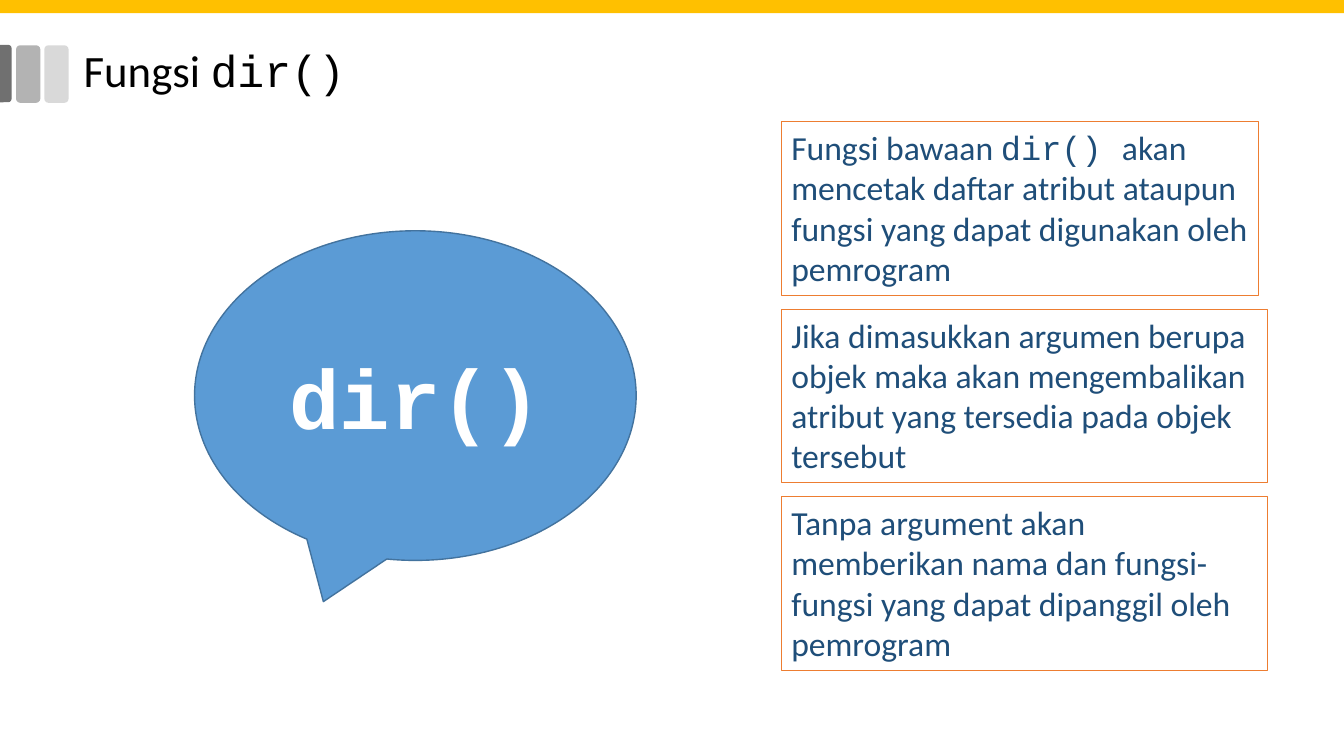
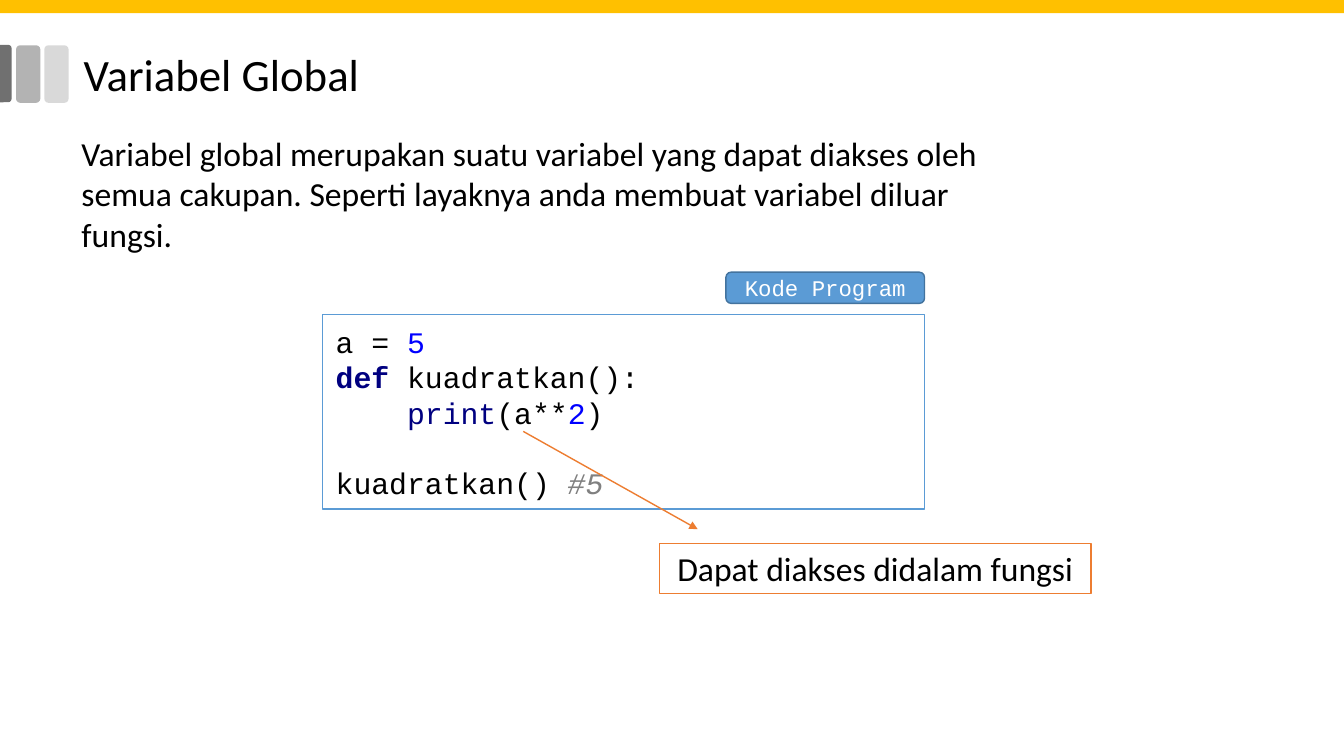
import pptx
import pptx.dml.color
import pptx.enum.shapes
import pptx.enum.text
import pptx.oxml
import pptx.oxml.ns
import pptx.util
from dataclasses import dataclass

Inches = pptx.util.Inches
SHAPE = pptx.enum.shapes.MSO_SHAPE
ANCHOR = pptx.enum.text.MSO_ANCHOR
ALIGN = pptx.enum.text.PP_ALIGN


@dataclass(frozen=True)
class Theme:
    body_font: str = "Calibri"
    code_font: str = "Courier New"
    title_size: float = 32
    body_size: float = 24
    code_size: float = 21.3
    label_size: float = 16
    callout_size: float = 60
    black: str = "000000"
    white: str = "FFFFFF"
    band: str = "FFC000"
    tabs: tuple = ("707070", "B3B3B3", "D9D9D9")
    blue: str = "5B9BD5"
    blue_edge: str = "43739E"
    navy: str = "1F4E79"
    orange: str = "ED7D31"
    keyword: str = "000080"
    number: str = "0000FF"
    remark: str = "808080"


theme = Theme()


def add_box(page, kind, place, fill=None, line=None, weight=1):
    box = page.shapes.add_shape(kind, *(Inches(length) for length in place))
    box.shadow.inherit = False
    for part, color in ((box.fill, fill), (box.line.fill, line)):
        if color:
            part.solid()
            part.fore_color.rgb = pptx.dml.color.RGBColor.from_string(color)
        else:
            part.background()
    if line:
        box.line.width = pptx.util.Pt(weight)
    return box


def write(box, lines, base, frame_format=None, para_format=None):
    """Write lines of (text, changes to the base font) spans."""
    frame = box.text_frame
    frame.word_wrap = True
    for name, value in {"vertical_anchor": ANCHOR.TOP, **(frame_format or {})}.items():
        setattr(frame, name, value)
    for index, spans in enumerate(lines):
        para = frame.add_paragraph() if index else frame.paragraphs[0]
        for name, value in {"alignment": ALIGN.LEFT, **(para_format or {})}.items():
            setattr(para, name, value)
        for text, changes in spans:
            span = para.add_run()
            span.text = text
            look = {**base, **changes}
            color = look.pop("color")
            span.font.color.rgb = pptx.dml.color.RGBColor.from_string(color)
            span.font.size = pptx.util.Pt(look.pop("size"))
            for name, value in look.items():
                setattr(span.font, name, value)


deck = pptx.Presentation()
deck.slide_width, deck.slide_height = Inches(13.33), Inches(7.5)

code = {"name": theme.code_font}
body = {"name": theme.body_font, "size": theme.body_size, "color": theme.black}
title_style = {**body, "size": theme.title_size}
title_inset = {f"margin_{side}": Inches(0.13)
               for side in ("left", "right", "top", "bottom")}

# Shared frame: top band, grey tabs and title
titles = [
    (0.35, [("Fungsi ", {}), ("dir()", code)]),
    (0.39, [("Variabel Global", {})]),
]
pages = []
for title_top, title in titles:
    page = deck.slides.add_slide(deck.slide_layouts[6])
    pages.append(page)
    edge_tab = add_box(page, SHAPE.ROUND_2_SAME_RECTANGLE,
                       (-0.23, 0.67, 0.57, 0.12), theme.tabs[0])
    edge_tab.rotation = 90
    edge_tab.adjustments[0] = 0.29
    for index, color in enumerate(theme.tabs[1:]):
        add_box(page, SHAPE.ROUNDED_RECTANGLE,
                (0.16 + 0.28 * index, 0.45, 0.24, 0.57), color)
    add_box(page, SHAPE.RECTANGLE, (0, 0, 13.33, 0.13), theme.band)
    title_box = page.shapes.add_textbox(
        Inches(0.7), Inches(title_top), Inches(11.5), Inches(0.72))
    write(title_box, [title], title_style, title_inset, {"line_spacing": 0.9})

dir_page, global_page = pages

# Slide 1: callout and three notes
notes = [
    (4.73, [("Fungsi bawaan ", {}), ("dir() ", code),
            ("akan mencetak daftar atribut ataupun fungsi yang dapat "
             "digunakan oleh pemrogram", {})]),
    (4.82, [("Jika dimasukkan argumen berupa objek maka akan mengembalikan "
             "atribut yang tersedia pada objek tersebut", {})]),
    (4.82, [("Tanpa argument akan memberikan nama dan fungsi-fungsi yang "
             "dapat dipanggil oleh pemrogram", {})]),
]
for index, (width, note) in enumerate(notes):
    note_box = add_box(dir_page, SHAPE.RECTANGLE,
                       (7.75, 1.21 + 1.86 * index, width, 1.72),
                       line=theme.orange, weight=0.75)
    write(note_box, [note], {**body, "color": theme.navy})

callout = add_box(dir_page, SHAPE.OVAL_CALLOUT, (1.93, 2.29, 4.38, 3.27),
                  theme.blue, theme.blue_edge)
centred = {"alignment": ALIGN.CENTER}
middle = {"vertical_anchor": ANCHOR.MIDDLE}
write(callout, [[("dir()", {"bold": True})]],
      {**code, "size": theme.callout_size, "color": theme.white}, middle, centred)

# Slide 2: explanation, code listing and its remark
intro = global_page.shapes.add_textbox(
    Inches(0.71), Inches(1.27), Inches(9.72), Inches(1.31))
write(intro, [[("Variabel global merupakan suatu variabel yang dapat diakses oleh "
                "semua cakupan. Seperti layaknya anda membuat variabel diluar "
                "fungsi.", {})]], body)

number = {"color": theme.number}
keyword = {"color": theme.keyword}
listing = [
    [("a = ", {}), ("5", number)],
    [("def ", {**keyword, "bold": True}), ("kuadratkan():", {})],
    [("    ", {}), ("print", keyword), ("(a**", {}), ("2", number), (")", {})],
    [("kuadratkan() ", {}), ("#5", {"color": theme.remark, "italic": True})],
]
code_box = add_box(global_page, SHAPE.RECTANGLE, (3.2, 3.12, 5.97, 1.93),
                   theme.white, theme.blue)
write(code_box, listing, {**code, "size": theme.code_size, "color": theme.black},
      {**title_inset, **middle,
       "margin_top": Inches(0.07), "margin_bottom": Inches(0.07)})
# The call stands one line below the function
code_box.text_frame.paragraphs[-1].space_before = pptx.util.Pt(24)

label = add_box(global_page, SHAPE.ROUNDED_RECTANGLE, (7.2, 2.7, 1.97, 0.31),
                theme.blue, theme.blue_edge)
write(label, [[("Kode Program", {})]],
      {**code, "size": theme.label_size, "color": theme.white}, middle, centred)

arrow = global_page.shapes.add_connector(
    pptx.enum.shapes.MSO_CONNECTOR.STRAIGHT,
    Inches(5.19), Inches(4.28), Inches(6.92), Inches(5.25))
arrow.line.color.rgb = pptx.dml.color.RGBColor.from_string(theme.orange)
arrow.line.width = pptx.util.Pt(1)
head = pptx.oxml.parse_xml(
    f'<a:tailEnd {pptx.oxml.ns.nsdecls("a")} type="triangle"/>')
arrow.line._get_or_add_ln().append(head)
arrow._element.spPr.append(
    pptx.oxml.parse_xml(f'<a:effectLst {pptx.oxml.ns.nsdecls("a")}/>'))

remark = add_box(global_page, SHAPE.RECTANGLE, (6.54, 5.39, 4.28, 0.5),
                 line=theme.orange)
write(remark, [[("Dapat diakses didalam fungsi", {})]], body, para_format=centred)

deck.save("out.pptx")
